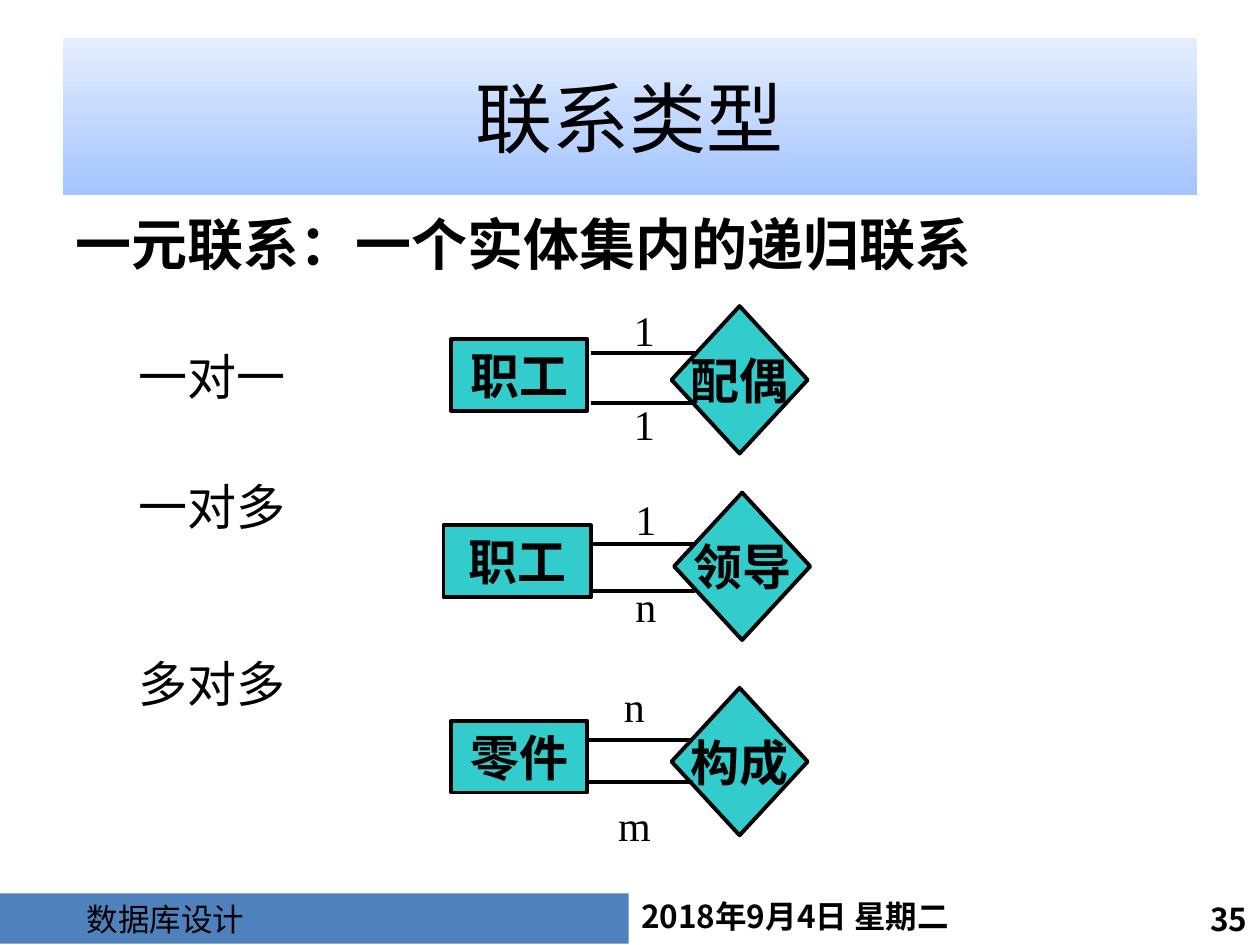
from lxml import etree
from pptx import Presentation
from pptx.dml.color import RGBColor
from pptx.enum.shapes import MSO_CONNECTOR, MSO_SHAPE
from pptx.enum.text import MSO_ANCHOR, PP_ALIGN
from pptx.oxml.ns import qn
from pptx.util import Inches, Pt

RECTANGLE, DIAMOND = MSO_SHAPE.RECTANGLE, MSO_SHAPE.DIAMOND
STRAIGHT = MSO_CONNECTOR.STRAIGHT
TOP, MIDDLE = MSO_ANCHOR.TOP, MSO_ANCHOR.MIDDLE
LEFT, CENTER, RIGHT = PP_ALIGN.LEFT, PP_ALIGN.CENTER, PP_ALIGN.RIGHT

THEME = {
    "ink": "000000", "node": "33CCCC", "bar": "4F81BD",
    "title_stops": ("A3C4FF", "E5EEFF"),
    "serif": "Times New Roman", "sans": "Noto Sans CJK SC", "footer": "Noto Sans CJK JP",
    "title": 44, "heading": 32, "body": 28, "cardinality": 24, "small": 18,
    "stroke": 2.25,
}

TITLE = "联系类型"
HEADING = "一元联系：一个实体集内的递归联系"
KINDS = [("一对一", 40), ("一对多", 41), ("多对多", 67)]
COURSE, DATE, PAGE = "数据库设计", "2018年9月4日 星期二", "35"

NODE_HEIGHT, DIAMOND_SIZE = 0.57, (1.08, 1.17)
DIAMOND_RISE = 0.26
LABEL_SIZE = (1.11, 0.46)
LINK_LENGTH = 0.83

DIAGRAMS = [
    {"entity": "职工", "at": (3.58, 2.69), "width": 1.08, "relation": "配偶", "relation_left": 5.33,
     "links": [(4.69, 2.8), (4.69, 3.2)], "cardinalities": [("1", 4.56, 2.41), ("1", 4.56, 3.16)]},
    {"entity": "职工", "at": (3.52, 4.17), "width": 1.17, "relation": "领导", "relation_left": 5.35,
     "links": [(4.69, 4.32), (4.69, 4.69)], "cardinalities": [("1", 4.57, 3.91), ("n", 4.57, 4.6)]},
    {"entity": "零件", "at": (3.58, 5.72), "width": 1.08, "relation": "构成", "relation_left": 5.33,
     "links": [(4.67, 5.87), (4.67, 6.21)], "cardinalities": [("n", 4.48, 5.4), ("m", 4.48, 6.34)]},
]


def color(name):
    return RGBColor.from_string(THEME[name])


def add_text(paragraph, text, size, font="serif", bold=False, align=LEFT):
    paragraph.alignment = align
    run = paragraph.add_run()
    run.text = text
    run.font.size = Pt(THEME[size])
    run.font.bold = bold
    run.font.name = THEME[font]
    run.font.color.rgb = color("ink")
    east_asian = THEME["footer" if font == "footer" else "sans"]
    latin = run.font._element.find(qn("a:latin"))
    ea = etree.Element(qn("a:ea"), typeface=east_asian)
    latin.addnext(ea)


def prepare_frame(shape, anchor=TOP, wrap=True):
    frame = shape.text_frame
    frame.word_wrap = wrap
    frame.vertical_anchor = anchor
    return frame


def add_box(slide, left, top, width, height):
    return slide.shapes.add_textbox(*map(Inches, (left, top, width, height)))


def add_block(slide, preset, left, top, width, height, fill=None):
    block = slide.shapes.add_shape(preset, *map(Inches, (left, top, width, height)))
    block.shadow.inherit = False
    block.line.fill.background()
    if fill:
        block.fill.solid()
        block.fill.fore_color.rgb = color(fill)
    return block


def add_node(slide, preset, text, left, top, width, height):
    node = add_block(slide, preset, left, top, width, height, "node")
    node.line.color.rgb = color("ink")
    node.line.width = Pt(THEME["stroke"])
    frame = prepare_frame(node, MIDDLE, wrap=False)
    add_text(frame.paragraphs[0], text, "body", bold=True, align=CENTER)


def add_link(slide, left, y):
    link = slide.shapes.add_connector(STRAIGHT, *map(Inches, (left, y, left + LINK_LENGTH, y)))
    link.line.color.rgb = color("ink")
    link.line.width = Pt(THEME["stroke"])
    etree.SubElement(link._element.spPr, qn("a:effectLst"))


def add_cardinality(slide, text, left, top):
    frame = prepare_frame(add_box(slide, left, top, *LABEL_SIZE), wrap=False)
    paragraph = frame.paragraphs[0]
    paragraph.line_spacing = 0.9
    paragraph.space_before = Pt(6)
    add_text(paragraph, text, "cardinality", align=CENTER)


def add_diagram(slide, diagram):
    left, top = diagram["at"]
    add_node(slide, RECTANGLE, diagram["entity"], left, top, diagram["width"], NODE_HEIGHT)
    add_node(slide, DIAMOND, diagram["relation"], diagram["relation_left"],
             top - DIAMOND_RISE, *DIAMOND_SIZE)
    for link in diagram["links"]:
        add_link(slide, *link)
    for cardinality in diagram["cardinalities"]:
        add_cardinality(slide, *cardinality)


def add_footer(slide):
    date = prepare_frame(add_box(slide, 4.99, 7.07, 3.56, 0.4))
    add_text(date.paragraphs[0], DATE, "small", "sans", bold=True)
    page = prepare_frame(add_box(slide, 8.7, 7.09, 1.3, 0.46))
    add_text(page.paragraphs[0], PAGE, "small", "sans", bold=True, align=RIGHT)
    course = prepare_frame(add_block(slide, RECTANGLE, 0, 7.09, 4.99, 0.4, "bar"))
    course.paragraphs[0]._p.get_or_add_pPr().set("marL", str(Inches(0.59)))
    add_text(course.paragraphs[0], COURSE, "small", "footer")


def add_title(slide):
    banner = add_block(slide, RECTANGLE, 0.5, 0.3, 9, 1.25)
    banner.fill.gradient()
    banner.fill.gradient_angle = 90
    for stop, position, shade in zip(banner.fill.gradient_stops, (0, 1), THEME["title_stops"]):
        stop.position = position
        stop.color.rgb = RGBColor.from_string(shade)
    add_text(prepare_frame(banner, MIDDLE).paragraphs[0], TITLE, "title", align=CENTER)


def add_body(slide):
    frame = prepare_frame(add_box(slide, 0.5, 1.66, 9, 5.11))
    frame.margin_top = 0
    add_text(frame.paragraphs[0], HEADING, "heading", bold=True)
    for kind, gap in KINDS:
        paragraph = frame.add_paragraph()
        paragraph._p.get_or_add_pPr().set("marL", str(Inches(0.5)))
        paragraph.space_before = Pt(gap)
        add_text(paragraph, kind, "body")


def main():
    deck = Presentation()
    deck.slide_width, deck.slide_height = Inches(10), Inches(7.5)
    slide = deck.slides.add_slide(deck.slide_layouts[6])
    add_footer(slide)
    add_title(slide)
    add_body(slide)
    for diagram in DIAGRAMS:
        add_diagram(slide, diagram)
    deck.save("out.pptx")


if __name__ == "__main__":
    main()
